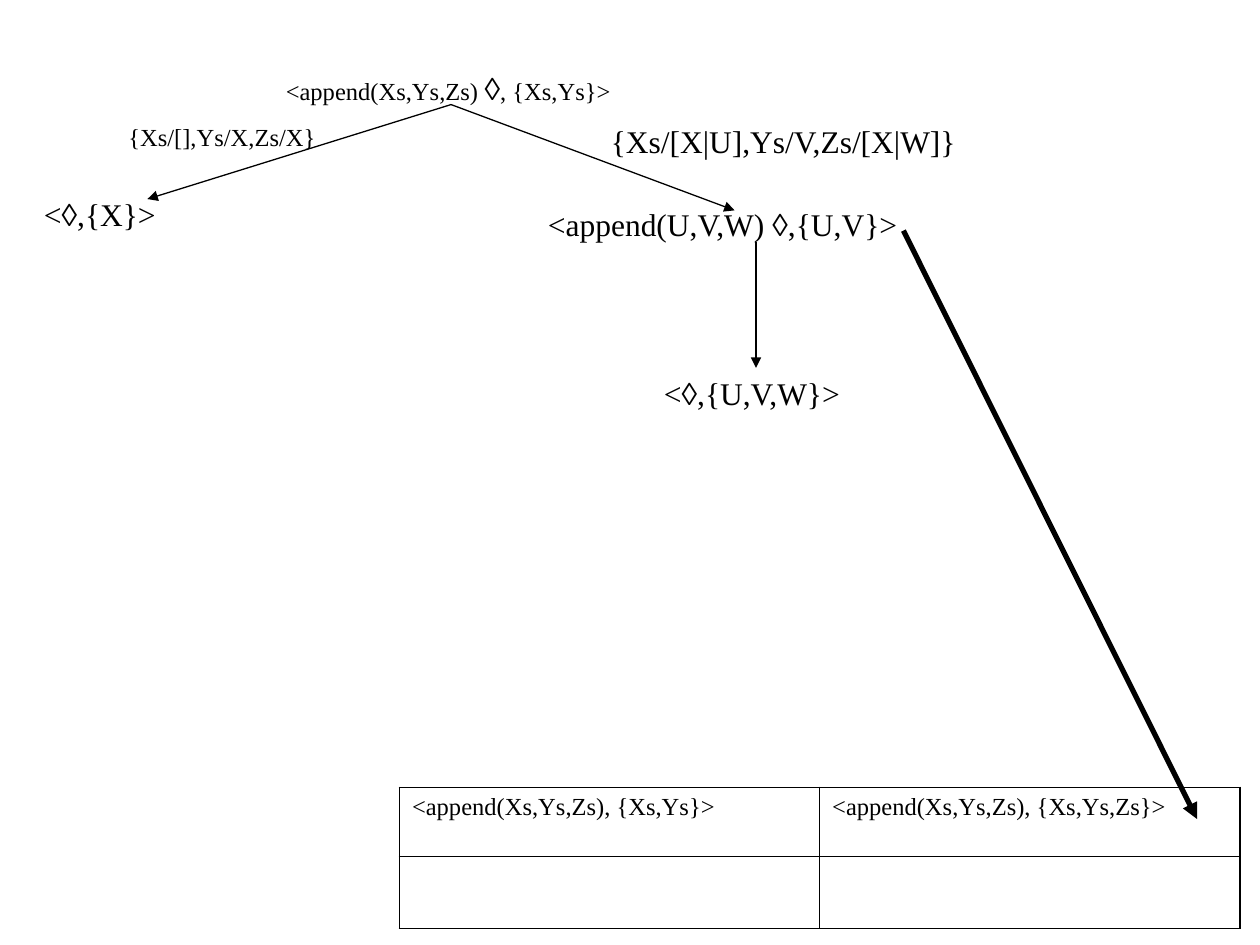
"""Build the slide with the append derivation tree and its call table."""
from lxml import etree
from pptx import Presentation
from pptx import util as u
from pptx.dml.color import RGBColor
from pptx.enum import shapes, text
from pptx.oxml.ns import qn

THEME = {
    "ink": "000000", "serif": "Times New Roman", "sans": "Arial",
    "small": 14, "large": 18, "thin": 0.75, "thick": 3,
    "inner": 0.45, "outer": 1.08,
}
MARK = "◊"
LABELS = [
    ("<append(Xs,Ys,Zs) ◊, {Xs,Ys}>", (2.17, 0.5, 3.5, 0.4), "small"),
    ("<◊,{X}>", (0.25, 1.5, 1.75, 0.4), "large"),
    ("{Xs/[],Ys/X,Zs/X}", (0.92, 0.92, 1.92, 0.34), "small"),
    ("<append(U,V,W) ◊,{U,V}>", (4.25, 1.58, 3.08, 0.4), "large"),
    ("{Xs/[X|U],Ys/V,Zs/[X|W]}", (4.75, 0.92, 3.17, 0.4), "large"),
    ("<◊,{U,V,W}>", (5.17, 2.92, 1.75, 0.4), "large"),
]
ROOT = (3.58, 0.83)
ARROWS = [
    (ROOT, (1.17, 1.58), "thin"),
    (ROOT, (5.83, 1.67), "thin"),
    ((6, 1.92), (6, 2.92), "thin"),
    ((7.17, 1.83), (9.5, 6.5), "thick"),
]
CALLS = [
    ["<append(Xs,Ys,Zs), {Xs,Ys}>", "<append(Xs,Ys,Zs), {Xs,Ys,Zs}>"],
    ["", ""],
]
TABLE = (3.17, 6.25, 6.67, 1.12)
ROWS = (0.55, 0.57)


def inch(vals):
    return [u.Inches(v) for v in vals]


def put(item, vals):
    for name, val in vals.items():
        setattr(item, name, val)


def add_run(para, words, size, face):
    run = para.add_run()
    run.text = words
    put(run.font, {"size": u.Pt(THEME[size]), "name": THEME[face]})
    run.font.color.rgb = RGBColor.from_string(THEME["ink"])


def add_label(slide, words, place, size):
    frame = slide.shapes.add_textbox(*inch(place)).text_frame
    put(frame, {"word_wrap": True, "auto_size": text.MSO_AUTO_SIZE.NONE})
    para = frame.paragraphs[0]
    head, mark, tail = words.partition(MARK)
    add_run(para, head, size, "serif")
    if mark:
        add_run(para, mark, "large", "sans")
        add_run(para, tail, size, "serif")


def add_arrow(slide, start, end, width):
    line = slide.shapes.add_connector(
        shapes.MSO_CONNECTOR.STRAIGHT, *inch(start + end))
    line.line.width = u.Pt(THEME[width])
    line.line.color.rgb = RGBColor.from_string(THEME["ink"])
    props = line.line._get_or_add_ln()
    etree.SubElement(props, qn("a:tailEnd"), type="triangle")
    etree.SubElement(props.getparent(), qn("a:effectLst"))


def add_edge(cell, side, width):
    props = cell._tc.get_or_add_tcPr()
    edge = etree.SubElement(
        props, qn(f"a:ln{side}"), w=str(u.Pt(THEME[width])))
    fill = etree.SubElement(edge, qn("a:solidFill"))
    etree.SubElement(fill, qn("a:srgbClr"), val=THEME["ink"])


def add_calls(slide):
    rows, cols = len(CALLS), len(CALLS[0])
    table = slide.shapes.add_table(rows, cols, *inch(TABLE)).table
    put(table, {"first_row": False, "horz_banding": False})
    for row, high in zip(table.rows, inch(ROWS)):
        row.height = high
    for r, line in enumerate(CALLS):
        for c, words in enumerate(line):
            cell = table.cell(r, c)
            rims = {"L": c == 0, "R": c == cols - 1,
                    "T": r == 0, "B": r == rows - 1}
            for side, rim in rims.items():
                add_edge(cell, side, "outer" if rim else "inner")
            cell.fill.background()
            if words:
                add_run(cell.text_frame.paragraphs[0], words, "small", "serif")


def main():
    deck = Presentation()
    put(deck, {"slide_width": u.Inches(10), "slide_height": u.Inches(7.5)})
    slide = deck.slides.add_slide(deck.slide_layouts[6])
    add_calls(slide)
    for label in LABELS:
        add_label(slide, *label)
    for arrow in ARROWS:
        add_arrow(slide, *arrow)
    deck.save("out.pptx")


if __name__ == "__main__":
    main()
